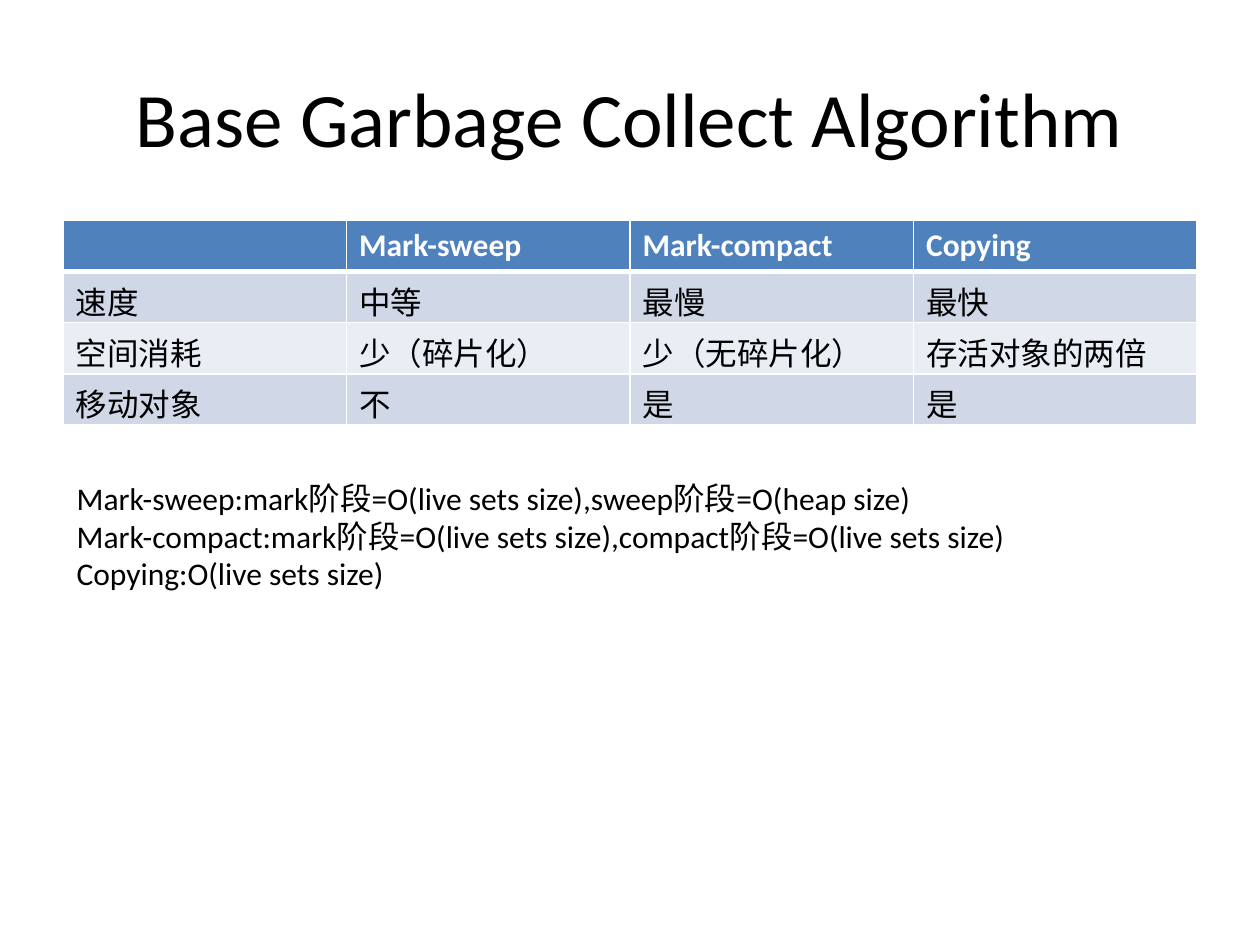
"""Build a slide that compares three basic garbage collection algorithms."""
from dataclasses import dataclass

from lxml import etree
from pptx import Presentation
from pptx import util as u
from pptx.dml.color import RGBColor
from pptx.enum import text
from pptx.oxml import ns


@dataclass(frozen=True)
class Theme:
    font: str = "Calibri"
    black: str = "000000"
    white: str = "FFFFFF"
    header: str = "4F81BD"
    bands: tuple = ("D0D8E8", "E9EDF4")
    title: int = 44
    body: int = 18


theme = Theme()


def write(tf, content, size=theme.body, color=theme.black, bold=False,
          align=text.PP_ALIGN.LEFT, anchor=text.MSO_ANCHOR.TOP):
    tf.word_wrap = True
    tf.vertical_anchor = anchor
    for i, line in enumerate(content.split("\n")):
        p = tf.paragraphs[0] if i == 0 else tf.add_paragraph()
        p.alignment = align
        p.font.size = u.Pt(size)
        if not line:
            continue
        r = p.add_run()
        r.text = line
        r.font.name = theme.font
        r.font.size = u.Pt(size)
        r.font.bold = bold
        r.font.color.rgb = RGBColor.from_string(color)


def set_border(cell, side, width):
    ln = etree.SubElement(cell._tc.get_or_add_tcPr(), ns.qn(f"a:ln{side}"), w=str(u.Pt(width)))
    fill = etree.SubElement(ln, ns.qn("a:solidFill"))
    etree.SubElement(fill, ns.qn("a:srgbClr"), val=theme.white)


prs = Presentation()
prs.slide_width, prs.slide_height = u.Pt(720), u.Pt(540)
s = prs.slides.add_slide(prs.slide_layouts[6])

title = s.shapes.add_textbox(u.Pt(36), u.Pt(21.6), u.Pt(648), u.Pt(90))
write(title.text_frame, "Base Garbage Collect Algorithm", size=theme.title,
      align=text.PP_ALIGN.CENTER, anchor=text.MSO_ANCHOR.MIDDLE)

rows = [
    ("", "Mark-sweep", "Mark-compact", "Copying"),
    ("速度", "中等", "最慢", "最快"),
    ("空间消耗", "少（碎片化）", "少（无碎片化）", "存活对象的两倍"),
    ("移动对象", "不", "是", "是"),
]
row_height = 29.2
table = s.shapes.add_table(len(rows), len(rows[0]), u.Pt(36), u.Pt(126),
                           u.Pt(648), u.Pt(row_height * len(rows))).table
for i, row in enumerate(rows):
    table.rows[i].height = u.Pt(row_height)
    is_header = i == 0
    fill_color = theme.header if is_header else theme.bands[(i - 1) % 2]
    widths = {"L": 1, "R": 1, "T": 3 if i == 1 else 1, "B": 3 if is_header else 1}
    for j, content in enumerate(row):
        cell = table.cell(i, j)
        for side, width in widths.items():
            set_border(cell, side, width)
        cell.fill.solid()
        cell.fill.fore_color.rgb = RGBColor.from_string(fill_color)
        write(cell.text_frame, content, bold=is_header,
              color=theme.white if is_header else theme.black)

costs = s.shapes.add_textbox(u.Pt(36.7), u.Pt(270), u.Pt(646.6), u.Pt(72.7))
write(costs.text_frame,
      "Mark-sweep:mark阶段=O(live sets size),sweep阶段=O(heap size)\n"
      "Mark-compact:mark阶段=O(live sets size),compact阶段=O(live sets size)\n"
      "Copying:O(live sets size)")

prs.save("out.pptx")
